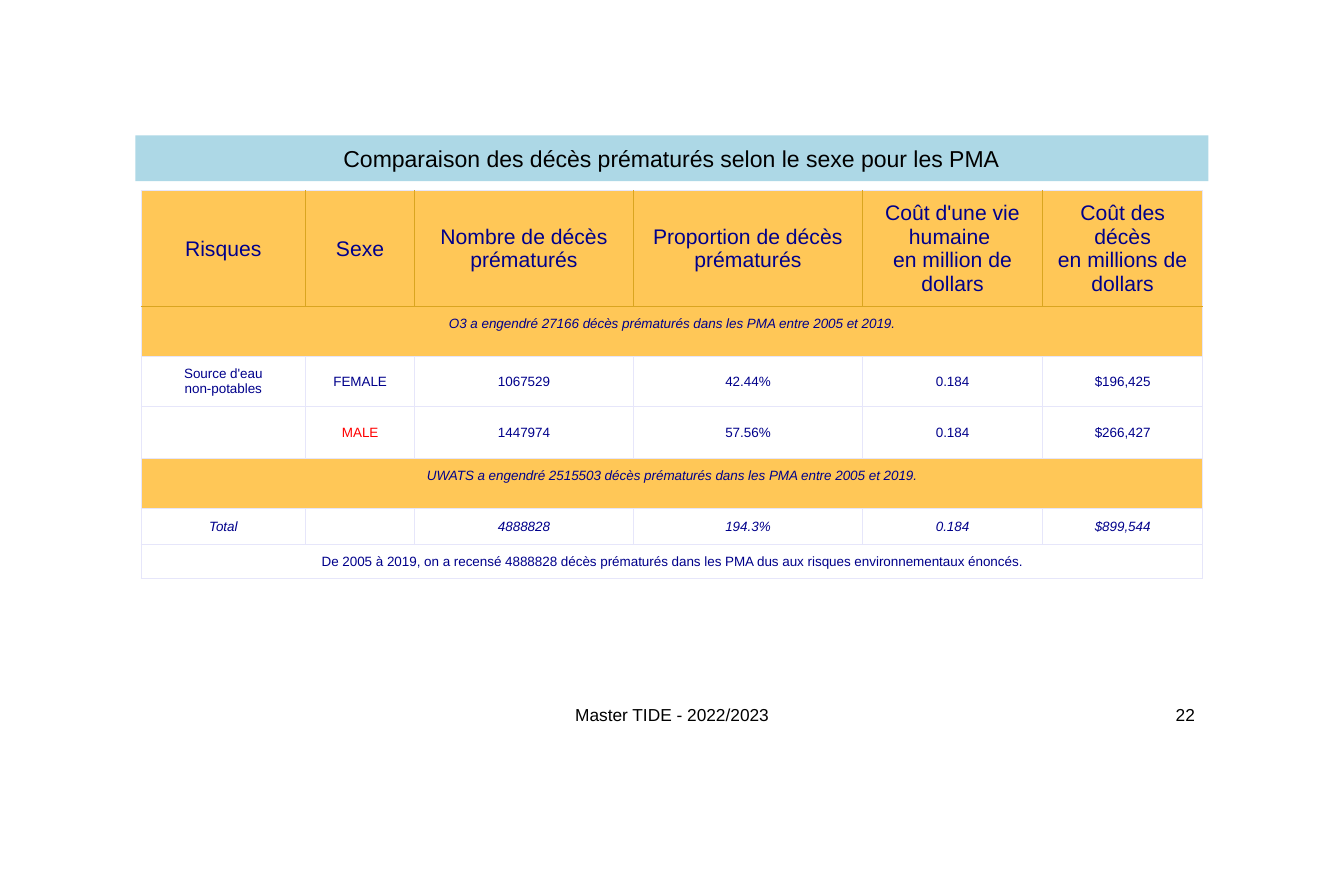
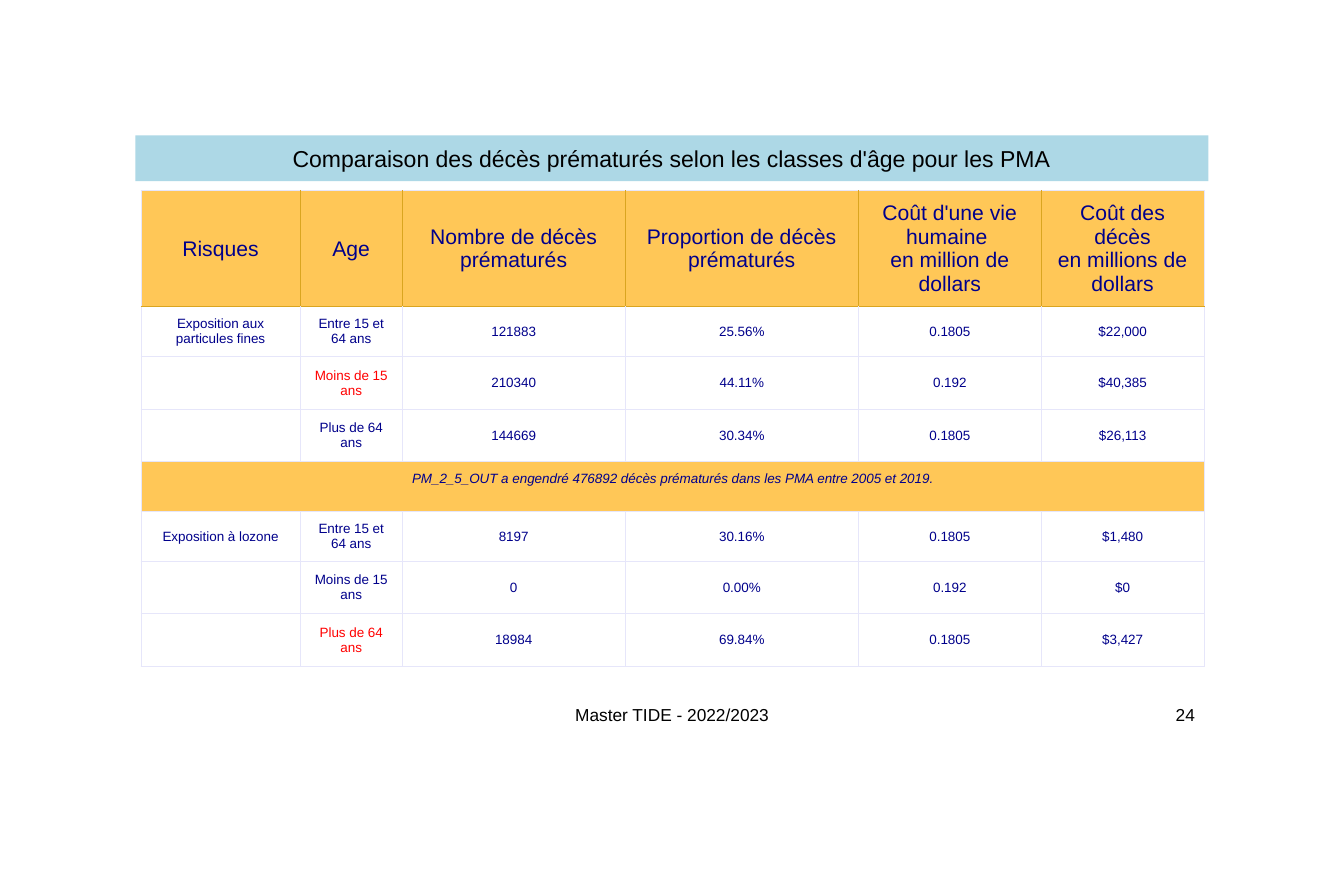
from lxml import etree
from pptx import Presentation
from pptx import util as u
from pptx.dml.color import RGBColor
from pptx.enum import text
from pptx.oxml import ns

Inches, Pt = u.Inches, u.Pt
FONT = "Arial"
BLACK = RGBColor(0x00, 0x00, 0x00)
NAVY = RGBColor(0x00, 0x00, 0x8B)
RED = RGBColor(0xFF, 0x00, 0x00)
LIGHT_BLUE = RGBColor(0xAD, 0xD8, 0xE6)
AMBER = RGBColor(0xFF, 0xC7, 0x57)
GOLD = RGBColor(0xDA, 0xA5, 0x20)
LAVENDER = RGBColor(0xE6, 0xE6, 0xFA)

TITLE_BOX = (0.98, 0.98, 7.76, 0.33)
TABLE_POS = (1.02, 1.38)
FOOTER_BOX = (2.92, 5.03, 3.88, 0.28)
NUMBER_BOX = (6.8, 5.03, 1.94, 0.28)
FOOTER = "Master TIDE - 2022/2023"
CELL_MARGIN = 0.07

HEADER, BODY, BAND, TOTAL, NOTE = "header", "body", "band", "total", "note"
HEIGHTS = {HEADER: 0.84, BODY: 0.36, BAND: 0.36, TOTAL: 0.25, NOTE: 0.25}
CONTINUED_HEIGHT = 0.38
MIDDLE, TOP = text.MSO_ANCHOR.MIDDLE, text.MSO_ANCHOR.TOP
CENTER, RIGHT = text.PP_ALIGN.CENTER, text.PP_ALIGN.RIGHT


def header(group):
    """Return the header row for a comparison by the given group."""
    return (HEADER, ["Risques", group, "Nombre de décès\nprématurés",
                     "Proportion de décès\nprématurés",
                     "Coût d'une vie\nhumaine \nen million de\ndollars",
                     "Coût des\ndécès\nen millions de\ndollars"])


def band(risk, deaths):
    """Return the row that sums up the deaths due to one risk."""
    return (BAND, [f"{risk} a engendré {deaths} décès prématurés dans les PMA "
                   "entre 2005 et 2019."])


SLIDES = [
    {
        "title": "Comparaison des décès prématurés selon le sexe pour les PMA",
        "number": "22",
        "widths": [1.19, 0.79, 1.58, 1.66, 1.3, 1.16],
        "red_rows": {3},
        "rows": [
            header("Sexe"),
            band("O3", 27166),
            (BODY, ["Source d'eau\nnon-potables", "FEMALE", "1067529", "42.44%",
                    "0.184", "$196,425"]),
            (BODY, ["", "MALE", "1447974", "57.56%", "0.184", "$266,427"]),
            band("UWATS", 2515503),
            (TOTAL, ["Total", "", "4888828", "194.3%", "0.184", "$899,544"]),
            (NOTE, ["De 2005 à 2019, on a recensé 4888828 décès prématurés dans "
                    "les PMA dus aux risques environnementaux énoncés."]),
        ],
    },
    {
        "title": "Comparaison des décès prématurés selon les classes d'âge pour les PMA",
        "number": "24",
        "widths": [1.15, 0.74, 1.61, 1.69, 1.32, 1.18],
        "red_rows": {2, 7},
        "rows": [
            header("Age"),
            (BODY, ["Exposition aux\nparticules fines", "Entre 15 et\n64 ans",
                    "121883", "25.56%", "0.1805", "$22,000"]),
            (BODY, ["", "Moins de 15\nans", "210340", "44.11%", "0.192", "$40,385"]),
            (BODY, ["", "Plus de 64\nans", "144669", "30.34%", "0.1805", "$26,113"]),
            band("PM_2_5_OUT", 476892),
            (BODY, ["Exposition à lozone", "Entre 15 et\n64 ans", "8197", "30.16%",
                    "0.1805", "$1,480"]),
            (BODY, ["", "Moins de 15\nans", "0", "0.00%", "0.192", "$0"]),
            (BODY, ["", "Plus de 64\nans", "18984", "69.84%", "0.1805", "$3,427"]),
        ],
    },
]


def write(tf, content, size, color, align=CENTER, italic=False):
    """Write the lines of content as runs of one paragraph."""
    p = tf.paragraphs[0]
    p.alignment = align
    if not content:
        etree.SubElement(p._p, ns.qn("a:endParaRPr"), sz=str(size * 100))
        return
    for i, line in enumerate(content.split("\n")):
        if i:
            p.add_line_break()
        r = p.add_run()
        r.text = line
        r.font.name, r.font.size = FONT, Pt(size)
        r.font.color.rgb, r.font.italic = color, italic


def add_title(s, box, title):
    """Place the title on its light blue band."""
    sp = s.shapes.title
    sp.left, sp.top, sp.width, sp.height = map(Inches, box)
    sp.fill.solid()
    sp.fill.fore_color.rgb = LIGHT_BLUE
    tf = sp.text_frame
    tf.auto_size = text.MSO_AUTO_SIZE.NONE
    tf.vertical_anchor = MIDDLE
    write(tf, title, 12, BLACK)


def add_footer(s, box, content, align):
    """Place one footer text in its box."""
    tf = s.shapes.add_textbox(*map(Inches, box)).text_frame
    tf.word_wrap = True
    tf.vertical_anchor = MIDDLE
    write(tf, content, 9, BLACK, align)


def set_borders(cell, colors):
    """Draw the left, right, top and bottom borders of a cell."""
    tc_pr = cell._tc.get_or_add_tcPr()
    for side, color in zip("LRTB", colors):
        ln = etree.SubElement(tc_pr, ns.qn(f"a:ln{side}"), w=str(Pt(0.5)))
        fill = etree.SubElement(ln, ns.qn("a:solidFill"))
        etree.SubElement(fill, ns.qn("a:srgbClr"), val=str(color))


def border_colors(row, col, last_col):
    """Return gold for the lines inside and under the header, else lavender."""
    gold = (row == 0 and col > 0, row == 0 and col < last_col, row == 1, row == 0)
    return [GOLD if g else LAVENDER for g in gold]


def format_cell(cell, kind, content, color):
    """Fill and write a cell according to the kind of its row."""
    cell.margin_left = cell.margin_right = Inches(CELL_MARGIN)
    cell.margin_top = cell.margin_bottom = Inches(CELL_MARGIN)
    cell.vertical_anchor = TOP if kind == BAND else MIDDLE
    if kind in (HEADER, BAND):
        cell.fill.solid()
        cell.fill.fore_color.rgb = AMBER
    else:
        cell.fill.background()
    write(cell.text_frame, content, 11 if kind == HEADER else 7, color,
          italic=kind in (BAND, TOTAL))


def add_deaths_table(s, pos, widths, rows, red_rows):
    """Place the table of deaths with its top left corner at pos."""
    heights = [HEIGHTS[kind] if kind != BODY or texts[0] else CONTINUED_HEIGHT
               for kind, texts in rows]
    frame = s.shapes.add_table(len(rows), len(widths), *map(
        Inches, (*pos, sum(widths), sum(heights))))
    table = frame.table
    table.first_row = table.horz_banding = False
    for col, width in zip(table.columns, widths):
        col.width = Inches(width)
    last = len(widths) - 1
    for i, (kind, texts) in enumerate(rows):
        table.rows[i].height = Inches(heights[i])
        if len(texts) == 1:
            table.cell(i, 0).merge(table.cell(i, last))
        for j in range(len(widths)):
            cell = table.cell(i, j)
            set_borders(cell, border_colors(i, j, last))
            color = RED if j == 1 and i in red_rows else NAVY
            format_cell(cell, kind, texts[j] if j < len(texts) else "", color)


def add_comparison(prs, data):
    """Add a slide with a title, a table of deaths and the footers."""
    s = prs.slides.add_slide(prs.slide_layouts[5])
    add_title(s, TITLE_BOX, data["title"])
    add_deaths_table(s, TABLE_POS, data["widths"], data["rows"], data["red_rows"])
    add_footer(s, FOOTER_BOX, FOOTER, CENTER)
    add_footer(s, NUMBER_BOX, data["number"], RIGHT)


def main():
    """Build and save the presentation."""
    prs = Presentation()
    prs.slide_width, prs.slide_height = Inches(9.72), Inches(6.3)
    for data in SLIDES:
        add_comparison(prs, data)
    prs.save("out.pptx")


if __name__ == "__main__":
    main()
